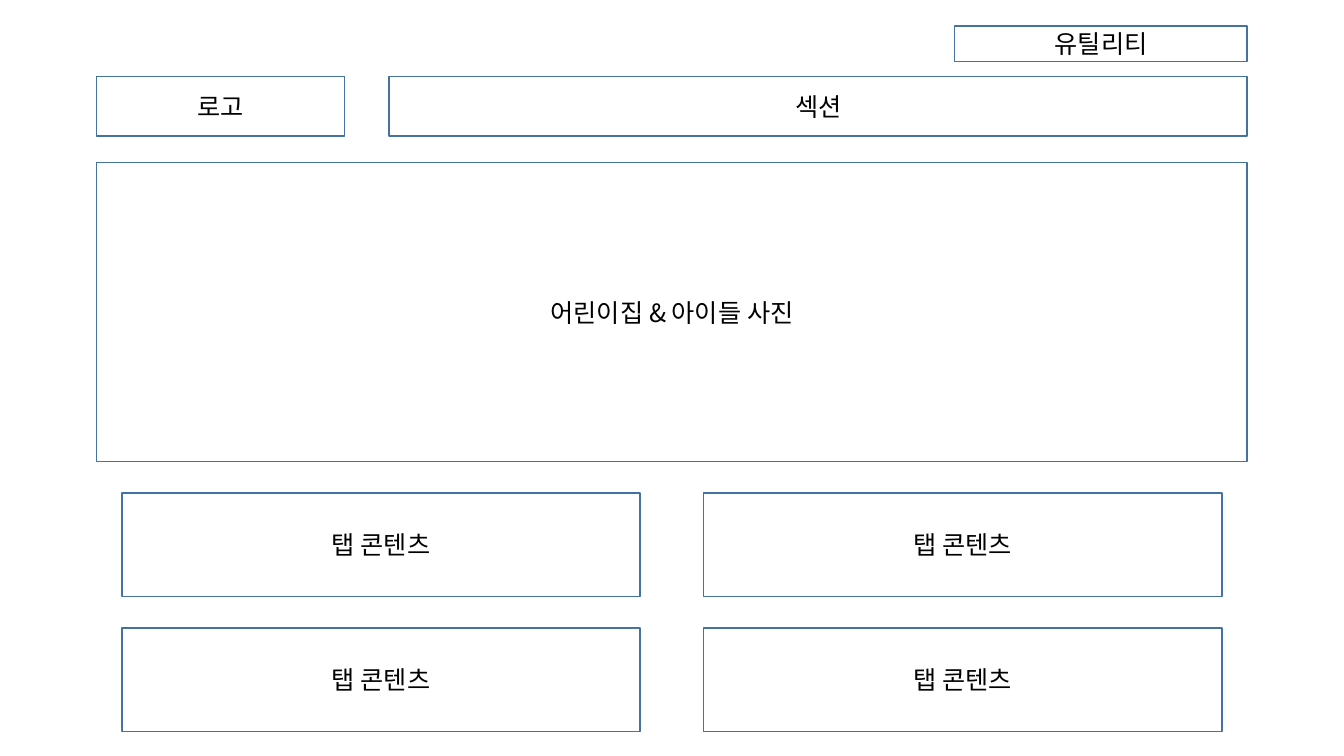
from dataclasses import dataclass

from lxml.etree import SubElement
from pptx import Presentation
from pptx.dml.color import RGBColor
from pptx.enum.shapes import MSO_SHAPE
from pptx.enum.text import MSO_ANCHOR, PP_ALIGN
from pptx.oxml.ns import qn
from pptx.util import Inches, Pt


@dataclass(frozen=True)
class Theme:
    outline: RGBColor = RGBColor(0x43, 0x73, 0x9E)
    text: RGBColor = RGBColor(0, 0, 0)
    font: str = "Noto Sans CJK KR"
    text_size: int = 18
    line_width: int = 1


theme = Theme()

# Content: label, left, top, width, height in inches
regions = [
    ("로고", 0.96, 0.76, 2.46, 0.59),
    ("섹션", 3.86, 0.76, 8.51, 0.59),
    ("유틸리티", 9.47, 0.26, 2.9, 0.35),
    ("어린이집 & 아이들 사진", 0.96, 1.61, 11.41, 2.97),
]
tab_rows = [
    ["탭 콘텐츠", "탭 콘텐츠"],
    ["탭 콘텐츠", "탭 콘텐츠"],
]

# Tab grid
TAB_LEFT, TAB_TOP = 1.21, 4.89
TAB_WIDTH, TAB_HEIGHT = 5.14, 1.03
COLUMN_GAP, ROW_GAP = 0.63, 0.31


def add_region(page, label, left, top, width, height):
    box = page.shapes.add_shape(
        MSO_SHAPE.RECTANGLE,
        Inches(left), Inches(top), Inches(width), Inches(height),
    )
    box.shadow.inherit = False
    box.fill.background()
    box.line.color.rgb = theme.outline
    box.line.width = Pt(theme.line_width)

    frame = box.text_frame
    frame.word_wrap = True
    frame.vertical_anchor = MSO_ANCHOR.MIDDLE
    para = frame.paragraphs[0]
    para.alignment = PP_ALIGN.CENTER
    span = para.add_run()
    span.text = label
    span.font.size = Pt(theme.text_size)
    span.font.color.rgb = theme.text
    span.font.name = theme.font
    # Korean text takes the East Asian typeface
    east_asian = SubElement(span.font._element, qn("a:ea"))
    east_asian.set("typeface", theme.font)


deck = Presentation()
deck.slide_width, deck.slide_height = Inches(13.33), Inches(7.5)
page = deck.slides.add_slide(deck.slide_layouts[6])

# Header and main photo area
for region in regions:
    add_region(page, *region)

# Tab contents
for row, labels in enumerate(tab_rows):
    for column, label in enumerate(labels):
        left = TAB_LEFT + column * (TAB_WIDTH + COLUMN_GAP)
        top = TAB_TOP + row * (TAB_HEIGHT + ROW_GAP)
        add_region(page, label, left, top, TAB_WIDTH, TAB_HEIGHT)

deck.save("out.pptx")
